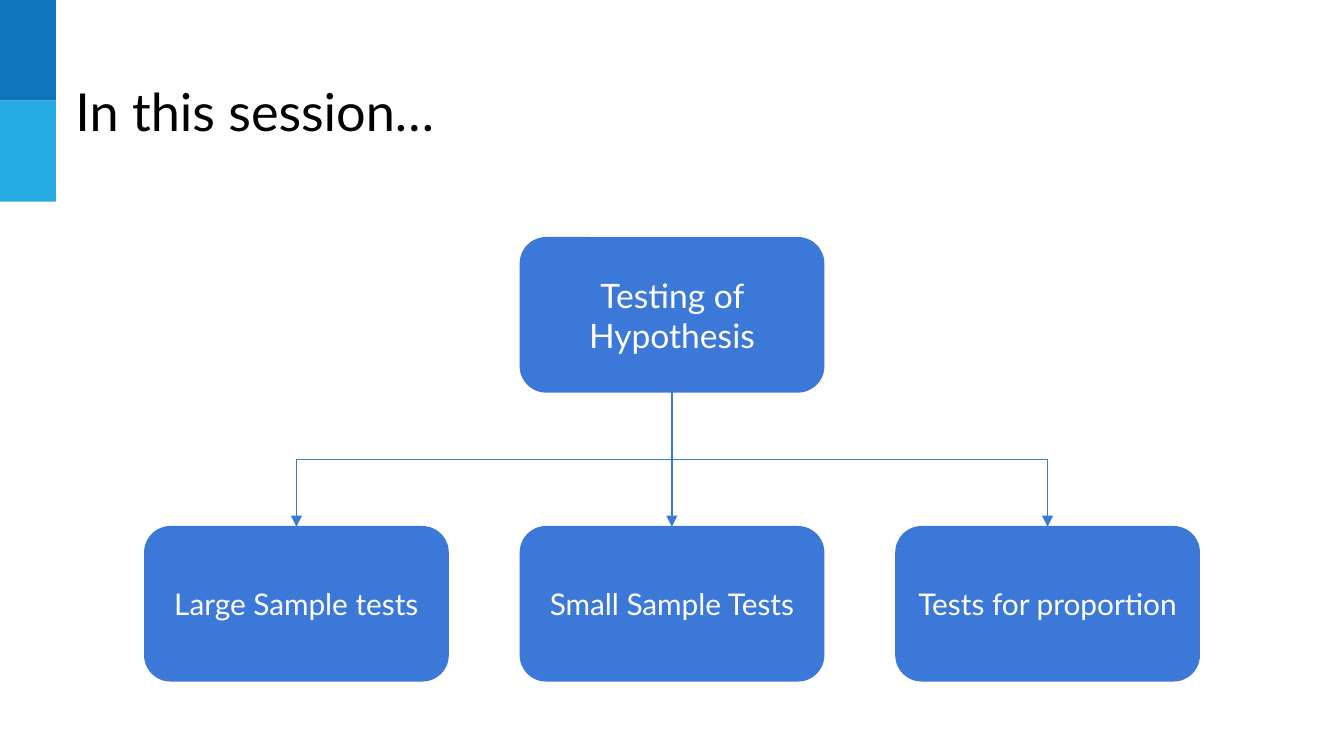
from lxml import etree
from pptx import Presentation
from pptx.dml.color import RGBColor
from pptx.enum import shapes as sh, text as tx
from pptx.oxml.ns import qn
from pptx.util import Pt

BLUE = "3C78D8"
MID = 360
STEP = 201.2
WIDE, HIGH = 162.5, 82.6
TOP, LOW = 127.4, 282.2


def color(code):
    return RGBColor.from_string(code)


def style(frame, size, code, align):
    frame.word_wrap = True
    frame.margin_left = frame.margin_right = Pt(7.2)
    frame.margin_top = frame.margin_bottom = Pt(7.2)
    para = frame.paragraphs[0]
    para.alignment = align
    font = para.runs[0].font
    font.name, font.size = "Lato", Pt(size)
    font.color.rgb = color(code)


def add_title(slide, label):
    title = slide.shapes.title
    title.left, title.top = Pt(33.2), Pt(35.2)
    title.width, title.height = Pt(530.6), Pt(45.4)
    frame = title.text_frame
    frame.text = label
    frame.auto_size = tx.MSO_AUTO_SIZE.NONE
    frame.vertical_anchor = tx.MSO_ANCHOR.TOP
    style(frame, 28, "000000", tx.PP_ALIGN.LEFT)


def add_band(slide, top, code):
    band = slide.shapes.add_shape(
        sh.MSO_SHAPE.RECTANGLE, 0, Pt(top), Pt(30), Pt(54))
    band.shadow.inherit = False
    band.fill.solid()
    band.fill.fore_color.rgb = color(code)
    band.line.fill.background()


def add_box(slide, mid, top, label, size):
    box = slide.shapes.add_shape(
        sh.MSO_SHAPE.ROUNDED_RECTANGLE,
        Pt(mid - WIDE / 2), Pt(top), Pt(WIDE), Pt(HIGH))
    box.adjustments[0] = 0.167
    box.shadow.inherit = False
    box.fill.solid()
    box.fill.fore_color.rgb = color(BLUE)
    box.line.color.rgb = color(BLUE)
    box.line.width = Pt(0.75)
    frame = box.text_frame
    frame.text = label
    frame.vertical_anchor = tx.MSO_ANCHOR.MIDDLE
    style(frame, size, "FFFFFF", tx.PP_ALIGN.CENTER)
    return box


def add_link(slide, root, leaf):
    """Join two boxes by an elbow that leaves and arrives vertically."""
    link = slide.shapes.add_connector(sh.MSO_CONNECTOR.ELBOW, 0, 0, 0, 0)
    link.begin_connect(root, 2)
    link.end_connect(leaf, 0)
    shift = leaf.left - root.left
    start = root.top + root.height
    drop = leaf.top - start
    center = root.left + (root.width + shift) // 2
    # The frame is stored unrotated: the drop is its width.
    link.width, link.height = drop, abs(shift)
    link.left = center - drop // 2
    link.top = start + (drop - abs(shift)) // 2
    props = link._element.spPr
    frame = props.find(qn("a:xfrm"))
    frame.set("rot", str((90 if shift < 0 else 270) * 60000))
    frame.set("flipH", "0" if shift < 0 else "1")
    frame.set("flipV", "0")
    link.line.color.rgb = color(BLUE)
    link.line.width = Pt(0.75)
    etree.SubElement(link.line._get_or_add_ln(), qn("a:tailEnd"),
                     type="triangle")
    etree.SubElement(props, qn("a:effectLst"))


def main():
    deck = Presentation()
    deck.slide_width, deck.slide_height = Pt(720), Pt(405)
    slide = deck.slides.add_slide(deck.slide_layouts[5])
    add_band(slide, 0, "0F75BD")
    add_band(slide, 54, "25AAE2")
    add_title(slide, "In this session…")
    root = add_box(slide, MID, TOP, "Testing of Hypothesis", 18)
    labels = ["Large Sample tests", "Small Sample Tests",
              "Tests for proportion"]
    leaves = [add_box(slide, MID + (i - 1) * STEP, LOW, label, 16)
              for i, label in enumerate(labels)]
    for leaf in leaves:
        add_link(slide, root, leaf)
    deck.save("out.pptx")


if __name__ == "__main__":
    main()
